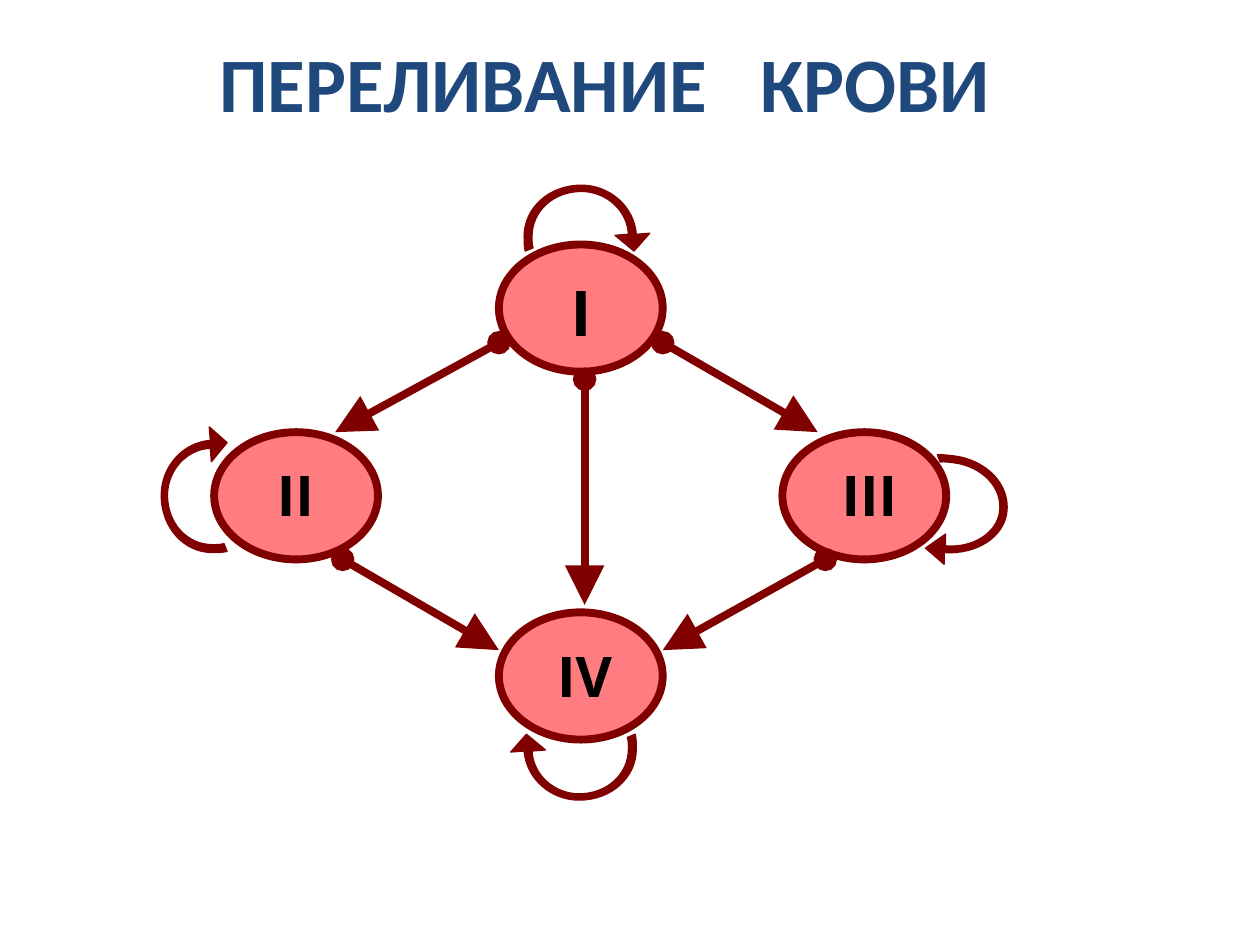
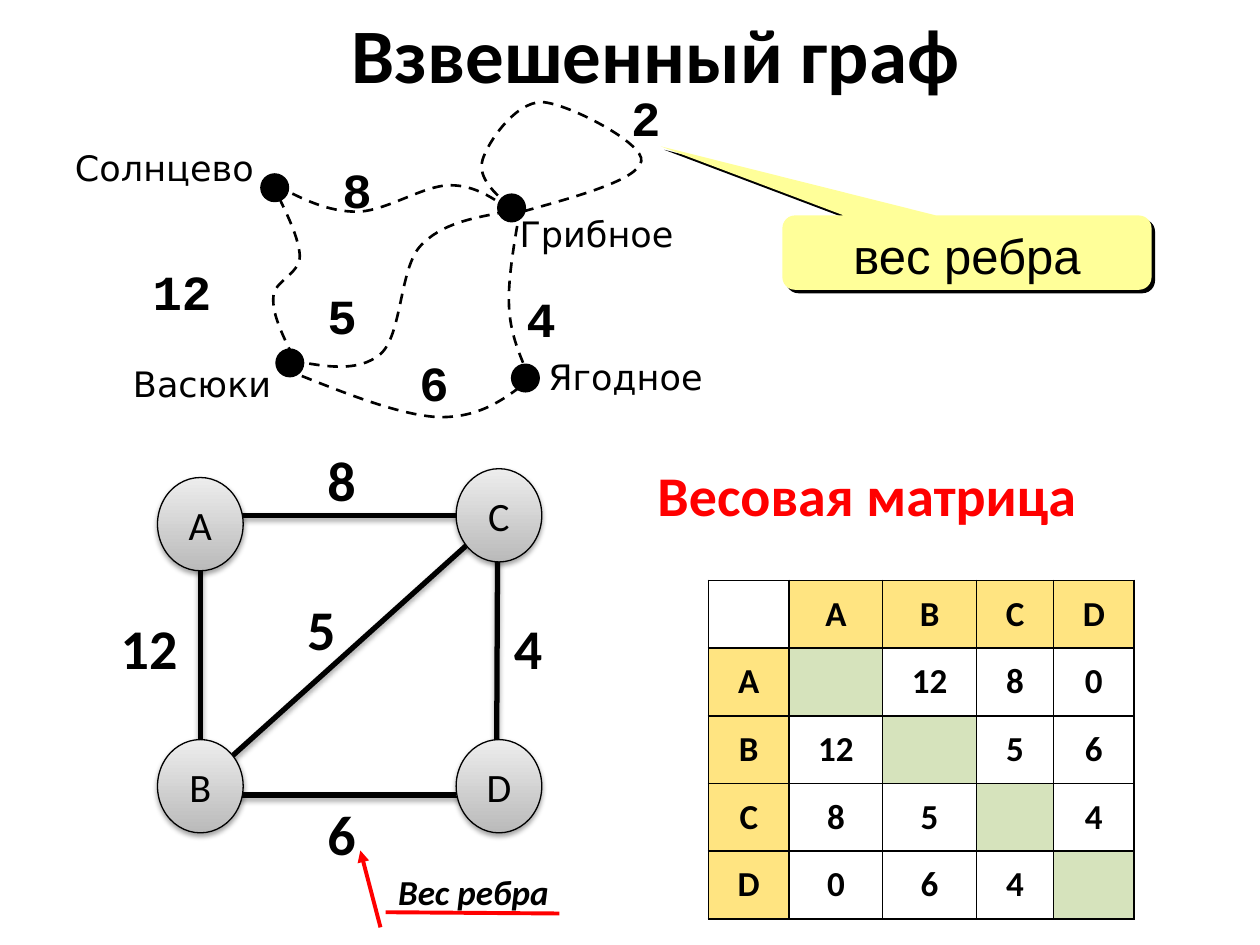
from dataclasses import dataclass

from lxml.etree import SubElement
from pptx import Presentation
from pptx.dml.color import RGBColor
from pptx.enum.dml import MSO_LINE
from pptx.enum.shapes import MSO_CONNECTOR, MSO_SHAPE
from pptx.enum.text import MSO_ANCHOR as ANCHOR, PP_ALIGN as ALIGN
from pptx.oxml.ns import qn
from pptx.util import Inches, Pt

SLIDE_W, SLIDE_H = Inches(10), Inches(7.5)
CELL = SLIDE_W // 100  # the slide is a grid of 100 columns by 75 rows

BLACK, WHITE, RED = "000000", "FFFFFF", "FF0000"
NAVY, MAROON, PINK = "1F497D", "800000", "FF7C80"
YELLOW, GOLD, GREEN = "FFFF99", "FFE481", "D6E3BC"
NODE_DARK, NODE_LIGHT = "BABABA", "EDEDED"

TITLE = {"name": "Calibri", "size": Pt(44), "bold": True}
WEIGHT = {"name": "Calibri", "size": Pt(32), "bold": True}
NODE = {"name": "Calibri", "size": Pt(23)}
MATRIX = {"name": "Calibri", "size": Pt(20), "bold": True}
NOTE = MATRIX | {"italic": True}
TOWN = {"name": "DejaVu Sans", "size": Pt(20)}
DISTANCE = {"name": "Courier New", "size": Pt(28), "bold": True}
CALLOUT = {"name": "Arial", "size": Pt(28)}
INSETS = (1, 0.5, 1, 0.5)

# Bent arrow in shares of its box: pairs are corners, sixes are curves
LOOP = [(0.93, 0.47), (0.92, 0.24, 0.73, 0.06, 0.51, 0.06),
        (0.26, 0.06, 0.07, 0.25, 0.07, 0.49), (0.07, 0.53, 0.07, 0.57, 0.08, 0.6),
        (0.01, 0.63), (0, 0.58, 0, 0.54, 0, 0.49), (0, 0.22, 0.22, 0, 0.51, 0),
        (0.76, 0, 0.98, 0.2, 1, 0.47), (1.12, 0.46), (0.98, 0.63), (0.81, 0.48),
        (0.93, 0.47)]


def rgb(color):
    return RGBColor.from_string(color)


def cells(*counts):
    return [round(CELL * count) for count in counts]


def add_effects(shape, alpha=0, blur=0, distance=0, angle=90):
    """Replace the theme shadow by the given one, or by none when alpha is 0."""
    effects = SubElement(shape._element.spPr, qn("a:effectLst"))
    if alpha:
        shadow = SubElement(effects, qn("a:outerShdw"), blurRad=str(Pt(blur)),
                            dist=str(Pt(distance)), dir=str(angle * 60000),
                            rotWithShape="0")
        color = SubElement(shadow, qn("a:srgbClr"), val=BLACK)
        SubElement(color, qn("a:alpha"), val=str(alpha * 1000))


def paint(shape, fill=None, line=None, width=0.75):
    if fill:
        shape.fill.solid()
        shape.fill.fore_color.rgb = rgb(fill)
    else:
        shape.fill.background()
    if line:
        shape.line.color.rgb = rgb(line)
        shape.line.width = Pt(width)
    else:
        shape.line.fill.background()


def add_run(paragraph, text, style, color):
    run = paragraph.add_run()
    run.text = text
    for key, value in style.items():
        setattr(run.font, key, value)
    run.font.color.rgb = rgb(color)
    return run


def write(frame, text, style, color=BLACK, align=ALIGN.CENTER,
          anchor=ANCHOR.TOP, insets=INSETS, wrap=True):
    sides = ("margin_left", "margin_top", "margin_right", "margin_bottom")
    layout = dict(zip(sides, cells(*insets)))
    for key, value in (layout | {"vertical_anchor": anchor, "word_wrap": wrap}).items():
        setattr(frame, key, value)
    paragraph = frame.paragraphs[0]
    paragraph.alignment = align
    add_run(paragraph, text, style, color)
    return paragraph


@dataclass
class Region:
    """Part of a slide; places are in grid cells from its top left corner."""
    slide: object
    left: float
    top: float

    def place(self, x, y):
        return cells(self.left + x, self.top + y)

    def shape(self, kind, x, y, w, h, **look):
        shape = self.slide.shapes.add_shape(kind, *self.place(x, y), *cells(w, h))
        paint(shape, **look)
        return shape

    def label(self, kind, x, y, w, h, *args, **kwargs):
        """Write in a preset shape that has neither fill nor line."""
        holder = self.shape(kind, x, y, w, h)
        add_effects(holder)
        write(holder.text_frame, *args, **kwargs)

    def text(self, x, y, w, h, *args, **kwargs):
        area = self.slide.shapes.add_textbox(*self.place(x, y), *cells(w, h))
        return write(area.text_frame, *args, **kwargs)

    def line(self, start, end, color, width, head=None, tail=None, tail_size="med", **shadow):
        line = self.slide.shapes.add_connector(
            MSO_CONNECTOR.STRAIGHT, *self.place(*start), *self.place(*end))
        line.line.color.rgb = rgb(color)
        line.line.width = Pt(width)
        for tag, tip, size in (("a:headEnd", head, "med"), ("a:tailEnd", tail, tail_size)):
            if tip:
                SubElement(line.line._get_or_add_ln(), qn(tag), type=tip, w=size, len=size)
        add_effects(line, **shadow)

    def curve(self, parts, x, y, w, h, **look):
        """Draw corners and cubic curves, measured from the corner of their box."""
        pen = self.slide.shapes.build_freeform(*self.place(x, y))
        pen.add_line_segments([self.place(x + w, y + h)], close=False)
        curve = pen.convert_to_shape()
        track = next(curve._element.iter(qn("a:path")))
        for segment in list(track):
            track.remove(segment)
        for index, part in enumerate(parts):
            kind = "cubicBezTo" if len(part) == 6 else "lnTo" if index else "moveTo"
            segment = SubElement(track, qn(f"a:{kind}"))
            for px, py in zip(cells(*part[::2]), cells(*part[1::2])):
                SubElement(segment, qn("a:pt"), x=str(px), y=str(py))
        if parts[0] == parts[-1]:
            SubElement(track, qn("a:close"))
        paint(curve, **look)
        add_effects(curve)
        return curve


def scale(parts, w=1, h=1, dx=0, dy=0):
    return [tuple((value - dy) * h if i % 2 else (value - dx) * w
                  for i, value in enumerate(part)) for part in parts]


def add_loop(region, center_x, center_y, w, h, angle):
    loop = region.curve(scale(LOOP, w, h), center_x - w / 2, center_y - h / 2, w, h,
                        fill=MAROON, line=MAROON)
    loop.rotation = angle


def add_road(region, parts):
    xs = [x for part in parts for x in part[::2]]
    ys = [y for part in parts for y in part[1::2]]
    left, top = min(xs), min(ys)
    road = region.curve(scale(parts, dx=left, dy=top), left, top,
                        max(xs) - left, max(ys) - top, line=BLACK, width=1.5)
    road.line.dash_style = MSO_LINE.DASH


def draw_transfusion(region):
    blood_groups = [("I", (26.6, 5.4), (31.3, 7.2, 3.5, 7), 36),
                    ("II", (4, 20.3), (6.7, 22.1, 7.5, 6.3), 32),
                    ("III", (49.1, 20.3), (51.2, 22.1, 9.6, 6.3), 32),
                    ("IV", (26.6, 34.6), (28.6, 36.4, 9.6, 6.3), 32)]
    for name, corner, name_box, size in blood_groups:
        add_effects(region.shape(MSO_SHAPE.OVAL, *corner, 13, 10.1,
                                 fill=PINK, line=MAROON, width=4.5))
        style = {"name": "Open Sans", "size": Pt(size), "bold": True}
        region.text(*name_box, name, style, wrap=False)
    donations = [((26.6, 13.2), (13.6, 20.3)), ((52.5, 30.4), (39.6, 37.6)),
                 ((14.2, 30.4), (26.6, 37.6)), ((39.6, 13.2), (51.9, 20.3)),
                 ((33.4, 16.1), (33.4, 34))]
    for donor, recipient in donations:
        region.line(donor, recipient, MAROON, 4.5, head="oval",
                    tail="triangle", tail_size="lg")
    for loop in [(33.05, 4.85, 8.9, 8.3, 0), (62.15, 26, 7.7, 9.6, 97.3),
                 (3.95, 25.4, 8.9, 8.3, 270), (33.05, 45.35, 8.9, 8.3, 180)]:
        add_loop(region, *loop)


def draw_road_map(region):
    towns = [("Васюки", (18, 23.8), (3.2, 23.1)), ("Солнцево", (16.8, 9.9), (0.2, 5.9)),
             ("Грибное", (35.6, 11.5), (34.5, 11.2)), ("Ягодное", (36.7, 25), (36.8, 22.5))]
    dot = 2.2
    for name, (x, y), corner in towns:
        add_effects(region.shape(MSO_SHAPE.OVAL, x - dot / 2, y - dot / 2, dot, dot,
                                 fill=BLACK, line=BLACK))
        region.label(MSO_SHAPE.ROUNDED_RECTANGLE, *corner, 15.7, 6.1, name, TOWN,
                     insets=(0, 0.4, 0, 0.5))
    roads = [
        [(16.9, 9.7), (19, 10.8, 21, 11.8, 23.3, 11.8), (25.6, 11.8, 28.6, 9.7, 30.7, 9.7),
         (32.8, 9.7, 34.2, 10.8, 35.7, 11.8)],
        [(16.5, 9.4), (17.6, 11.6, 18.7, 13.7, 18.8, 15.3),
         (18.8, 16.8, 16.7, 17.3, 16.7, 18.6), (16.6, 20, 17.5, 21.7, 18.3, 23.4)],
        [(17.6, 24.3), (22.1, 26.1, 26.5, 27.9, 29.7, 28.1),
         (32.9, 28.2, 34.9, 26.8, 36.8, 25.3)],
        [(36.3, 11.5), (35.8, 14.3, 35.3, 17.2, 35.4, 19.3),
         (35.5, 21.5, 36.2, 23, 36.8, 24.5)],
        [(18.1, 23.6), (20.8, 24.1, 23.4, 24.6, 25.2, 23.1),
         (26.9, 21.6, 26.7, 16.5, 28.3, 14.6), (30, 12.7, 32.6, 12.3, 35.2, 11.8)],
        [(35.6, 11.5), (34.2, 10.3, 32.9, 9.1, 33.3, 7.7), (33.7, 6.3, 35.9, 3.1, 38, 3.1),
         (40.1, 3.2, 46.2, 6.4, 45.9, 7.8), (45.6, 9.3, 40.8, 10.6, 36.1, 11.9)]]
    for road in roads:
        add_road(region, road)
    distances = [("12", 5.2, 15.1), ("8", 19.1, 7), ("2", 42, 1.3),
                 ("5", 17.9, 17), ("4", 33.7, 17.2), ("6", 25.2, 22.3)]
    for distance, x, y in distances:
        region.label(MSO_SHAPE.OVAL, x, y, 8.5, 4.6, distance, DISTANCE, insets=(0, 0, 0, 0))


def draw_callout(region):
    callout = region.shape(MSO_SHAPE.ROUNDED_RECTANGULAR_CALLOUT, 0, 0, 29.3, 5.9, fill=YELLOW)
    for index, value in enumerate((-0.83, -1.43, 0.17)):
        callout.adjustments[index] = value
    add_effects(callout, alpha=100, distance=2.8, angle=45)
    write(callout.text_frame, "вес ребра", CALLOUT)


def draw_graph(region):
    edges = [((7.9, 29.1), (31.6, 29.1)), ((7.5, 6.9), (31.2, 6.9)),
             ((7.9, 7.5), (7.9, 29.7)), ((31.5, 7.5), (31.4, 29.7)),
             ((31.9, 6.7), (7.1, 29))]
    for start, end in edges:
        region.line(start, end, BLACK, 3, alpha=35, blur=3.1, distance=1.8)
    for name, x, y in [("A", 4.5, 3.9), ("C", 28.2, 3.2), ("D", 28.2, 24.7), ("B", 4.5, 24.7)]:
        node = region.shape(MSO_SHAPE.OVAL, x, y, 6.8, 7.4, line=BLACK)
        node.fill.gradient()
        node.fill.gradient_angle = 90
        for stop, color in zip(node.fill.gradient_stops, (NODE_DARK, NODE_LIGHT)):
            stop.color.rgb = rgb(color)
        add_effects(node, alpha=37, blur=3.1, distance=1.6)
        write(node.text_frame, name, NODE, anchor=ANCHOR.MIDDLE, wrap=False)
    weights = [("12", 0.6, 14.2, 7), ("8", 17, 0.9, 4.7), ("4", 31.8, 14.2, 4.7),
               ("6", 17, 29, 4.7), ("5", 15.4, 12.7, 4.7)]
    for weight, x, y, width in weights:
        region.text(x, y, width, 6.4, weight, WEIGHT, align=ALIGN.LEFT)
    region.text(21.3, 34.6, 17.5, 4.4, "Вес ребра", NOTE, align=ALIGN.LEFT,
                insets=(2.3, 0.5, 1, 0.5))
    region.line((22.2, 39.6), (20.6, 33.5), RED, 2.25, tail="triangle")
    region.line((22.6, 38.4), (36.4, 38.5), RED, 2.25)


def add_borders(cell):
    properties = cell._tc.get_or_add_tcPr()
    for side in "LRTB":
        border = SubElement(properties, qn(f"a:ln{side}"), w=str(Pt(1)))
        SubElement(SubElement(border, qn("a:solidFill")), qn("a:srgbClr"), val=BLACK)


def draw_matrix(region):
    region.text(0, 0, 45.3, 9.3, "Весовая матрица", WEIGHT, RED, align=ALIGN.LEFT)
    names = "ABCD"
    weights = [["", "12", "8", "0"], ["12", "", "5", "6"],
               ["8", "5", "", "4"], ["0", "6", "4", ""]]
    rows = [["", *names]] + [[name, *row] for name, row in zip(names, weights)]
    widths = (6.4, 7.43, 7.45, 6.11, 6.4)
    matrix = region.slide.shapes.add_table(
        5, 5, *region.place(5.03, 9.97), *cells(sum(widths), 26.86)).table
    matrix.first_row = matrix.horz_banding = False
    for column, width in zip(matrix.columns, cells(*widths)):
        column.width = width
    for r, row in enumerate(rows):
        for c, value in enumerate(row):
            cell = matrix.cell(r, c)
            add_borders(cell)
            fill = WHITE
            if r == c > 0:
                fill = GREEN
            elif r != c and 0 in (r, c):
                fill = GOLD
            cell.fill.solid()
            cell.fill.fore_color.rgb = rgb(fill)
            cell.vertical_anchor = ANCHOR.MIDDLE
            cell.margin_left, cell.margin_right = cells(0.7, 0.7)
            cell.margin_top = cell.margin_bottom = 0
            if value:
                paragraph = cell.text_frame.paragraphs[0]
                paragraph.alignment = ALIGN.CENTER
                add_run(paragraph, value, MATRIX, BLACK)


def build_transfusion_slide(slide):
    draw_transfusion(Region(slide, 13, 14))
    title = Region(slide, -2, -0.3).text(
        0, 0, 100, 13.6, "ПЕРЕЛИВАНИЕ", TITLE, NAVY, anchor=ANCHOR.MIDDLE)
    wide_gap = add_run(title, " ", TITLE, NAVY)
    wide_gap._r.get_or_add_rPr().set("spc", "2000")
    add_run(title, "КРОВИ", TITLE, NAVY)


def build_weighted_graph_slide(slide):
    Region(slide, 7.15, 0).text(0, 0, 89.8, 8.4, "Взвешенный граф", TITLE)
    draw_matrix(Region(slide, 51.2, 36.1))
    draw_graph(Region(slide, 8, 34))
    draw_road_map(Region(slide, 5, 5))
    draw_callout(Region(slide, 62.1, 17.1))


def main():
    deck = Presentation()
    deck.slide_width, deck.slide_height = SLIDE_W, SLIDE_H
    for build in (build_transfusion_slide, build_weighted_graph_slide):
        build(deck.slides.add_slide(deck.slide_layouts[6]))
    deck.save("out.pptx")


if __name__ == "__main__":
    main()
